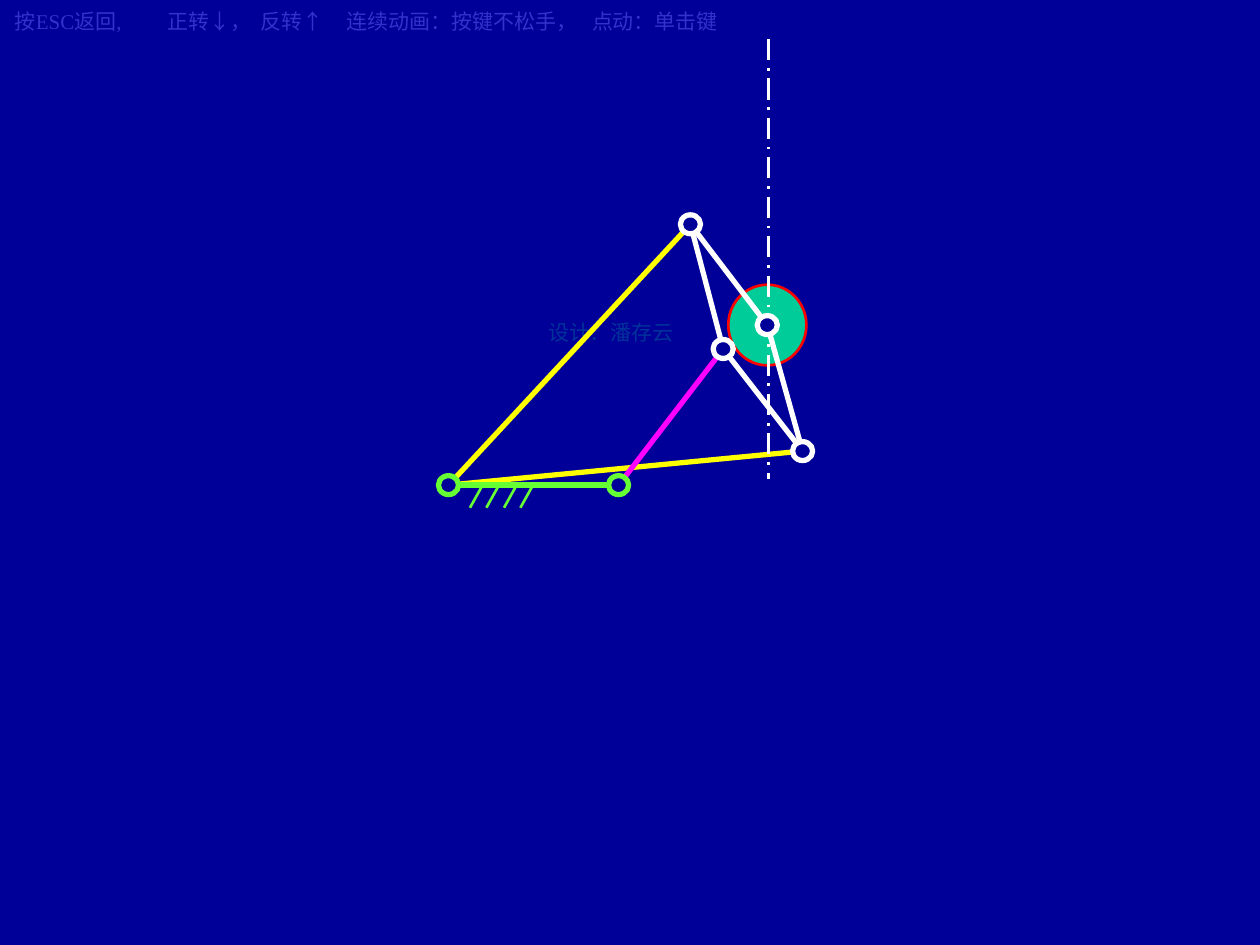
"""Straight-line linkage diagram with its key hints, on a grid of 1000 by 750 cells."""
from lxml import etree
from pptx import Presentation
from pptx.dml.color import RGBColor
from pptx.enum.dml import MSO_LINE
from pptx.enum.shapes import MSO_CONNECTOR, MSO_SHAPE
from pptx.enum.text import PP_ALIGN
from pptx.oxml.ns import qn
from pptx.util import Inches, Pt

STRAIGHT = MSO_CONNECTOR.STRAIGHT
OVAL = MSO_SHAPE.OVAL
LONG_DASH_DOT = MSO_LINE.LONG_DASH_DOT
LEFT, CENTER = PP_ALIGN.LEFT, PP_ALIGN.CENTER

NAVY = RGBColor(0x00, 0x00, 0x99)
HINT_BLUE = RGBColor(0x33, 0x33, 0xCC)
CREDIT_BLUE = RGBColor(0x00, 0x33, 0x99)
TEAL = RGBColor(0x00, 0xCC, 0x99)
RED = RGBColor(0xFF, 0x00, 0x00)
YELLOW = RGBColor(0xFF, 0xFF, 0x00)
MAGENTA = RGBColor(0xFF, 0x00, 0xFF)
GREEN = RGBColor(0x66, 0xFF, 0x33)
WHITE = RGBColor(0xFF, 0xFF, 0xFF)

CELL = Inches(0.01)
THICK, THIN = Pt(3), Pt(1.5)

deck = Presentation()
deck.slide_width, deck.slide_height = 1000 * CELL, 750 * CELL
slide = deck.slides.add_slide(deck.slide_layouts[6])
slide.background.fill.solid()
slide.background.fill.fore_color.rgb = NAVY


def add_text(text, left, top, width, height, color, align=LEFT, tab_stops=()):
    frame = slide.shapes.add_textbox(
        left * CELL, top * CELL, width * CELL, height * CELL).text_frame
    frame.word_wrap = True
    paragraph = frame.paragraphs[0]
    paragraph.alignment = align
    run = paragraph.add_run()
    run.text = text
    run.font.size = Pt(12)
    run.font.name = "Times New Roman"
    run.font.color.rgb = color
    if tab_stops:
        stops = etree.SubElement(paragraph._p.get_or_add_pPr(), qn("a:tabLst"))
        for stop in tab_stops:
            etree.SubElement(stops, qn("a:tab"), pos=str(stop * CELL), algn="l")


def add_bar(start, end, color, weight=THICK):
    bar = slide.shapes.add_connector(
        STRAIGHT, *(value * CELL for value in (*start, *end)))
    bar.line.color.rgb = color
    bar.line.width = weight
    etree.SubElement(bar._element.spPr, qn("a:effectLst"))
    return bar


add_text("按ESC返回,\t正转↓，\t反转↑\t连续动画：按键不松手，\t点动：单击键",
         2, 2, 649, 30, HINT_BLUE, tab_stops=(121, 195, 263, 458))
add_text("设计：潘存云", 418, 249, 134, 30, CREDIT_BLUE, align=CENTER)

fixed_pivot, crank_pivot = (356, 385), (491, 385)
upper, inner, lower, tracer = (548, 178), (574, 277), (637, 358), (609, 258)

links = [
    (fixed_pivot, lower, YELLOW),
    (fixed_pivot, upper, YELLOW),
    (inner, crank_pivot, MAGENTA),
    (lower, inner, WHITE),
    (inner, upper, WHITE),
    (lower, tracer, WHITE),
    (upper, tracer, WHITE),
    (fixed_pivot, crank_pivot, GREEN),
]
ovals = [(tracer, 62, 64, TEAL, RED, THIN)] + [
    (joint, 16, 15, NAVY, color, THICK)
    for joint, color in ((fixed_pivot, GREEN), (crank_pivot, GREEN), (upper, WHITE),
                         (inner, WHITE), (lower, WHITE), (tracer, WHITE))
]

for index, ((x, y), width, height, fill, outline, weight) in enumerate(ovals):
    if index == 1:
        for start, end, color in links:
            add_bar(start, end, color)
        for hatch in range(4):
            hatch_x = 383 + hatch * 40 / 3
            add_bar((round(hatch_x), 385), (round(hatch_x - 10), 403), GREEN, THIN)
        traced_line = add_bar((610, 31), (610, 380), WHITE, THIN)
        traced_line.line.dash_style = LONG_DASH_DOT
    oval = slide.shapes.add_shape(
        OVAL, round((x - width / 2) * CELL), round((y - height / 2) * CELL),
        width * CELL, height * CELL)
    oval.shadow.inherit = False
    oval.fill.solid()
    oval.fill.fore_color.rgb = fill
    oval.line.color.rgb = outline
    oval.line.width = weight

deck.save("out.pptx")
